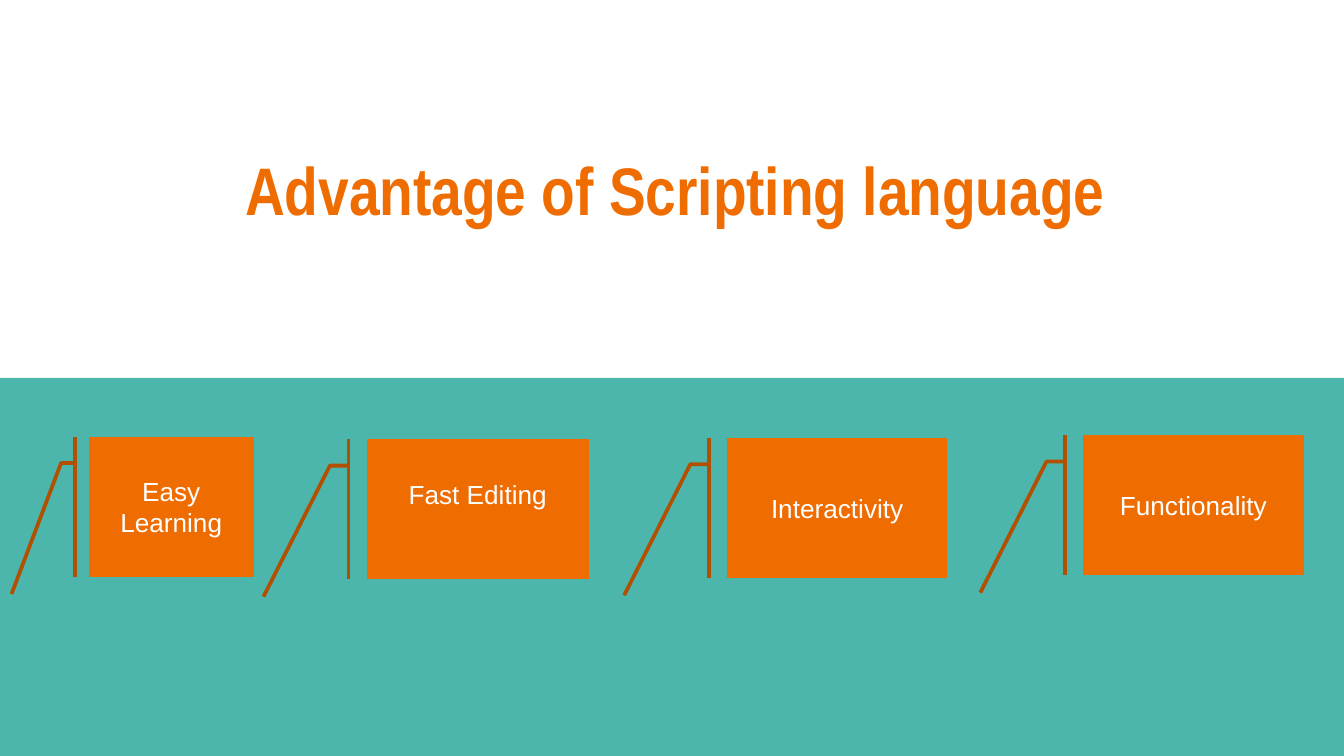
from dataclasses import dataclass

from pptx import Presentation
from pptx.dml.color import RGBColor
from pptx.enum.shapes import MSO_SHAPE as Shape
from pptx.enum.text import MSO_ANCHOR as Anchor, MSO_AUTO_SIZE as AutoSize, PP_ALIGN as Align
from pptx.util import Inches, Pt

ORANGE, BROWN, TEAL, WHITE = "EF6C00", "B15000", "4DB6AC", "FFFFFF"
WIDTH = 10
HEIGHT = WIDTH * 9 / 16
CALLOUT_HEIGHT = 1.04


@dataclass
class Callout:
    text: str
    left: float
    top: float
    width: float = 1.64
    bottom_inset: float = 0.05


CALLOUTS = [
    Callout("Easy Learning", 0.66, 3.25, width=1.23),
    Callout("Fast Editing", 2.73, 3.27, width=1.65, bottom_inset=0.27),
    Callout("Interactivity", 5.41, 3.26),
    Callout("Functionality", 8.06, 3.24),
]


def color(value: str) -> RGBColor:
    return RGBColor.from_string(value)


def add_filled(s, kind, left: float, top: float, width: float, height: float, fill: str):
    sp = s.shapes.add_shape(kind, Inches(left), Inches(top), Inches(width), Inches(height))
    sp.shadow.inherit = False
    sp.fill.solid()
    sp.fill.fore_color.rgb = color(fill)
    return sp


def write(tf, text: str, font: str, size: float, fill: str, bold: bool = False) -> None:
    tf.word_wrap = True
    tf.auto_size = AutoSize.NONE
    tf.vertical_anchor = Anchor.MIDDLE
    p = tf.paragraphs[0]
    p.alignment = Align.CENTER
    r = p.add_run()
    r.text = text
    r.font.name, r.font.size, r.font.bold = font, Pt(size), bold
    r.font.color.rgb = color(fill)


def add_callout(s, item: Callout) -> None:
    sp = add_filled(s, Shape.LINE_CALLOUT_2_ACCENT_BAR, item.left, item.top,
                    item.width, CALLOUT_HEIGHT, ORANGE)
    sp.line.color.rgb = color(BROWN)
    sp.line.width = Pt(2)
    sp.text_frame.margin_bottom = Inches(item.bottom_inset)
    write(sp.text_frame, item.text, "Arial", 14, WHITE)


def main() -> None:
    prs = Presentation()
    prs.slide_width, prs.slide_height = Inches(WIDTH), Inches(HEIGHT)
    s = prs.slides.add_slide(prs.slide_layouts[5])

    # Lower half band
    band = add_filled(s, Shape.RECTANGLE, 0, HEIGHT / 2, WIDTH, HEIGHT / 2, TEAL)
    band.line.fill.background()

    # Title
    title = s.shapes.title
    title.left, title.top = Inches(0.34), Inches(0.89)
    title.width, title.height = Inches(9.37), Inches(1.03)
    tf = title.text_frame
    tf.margin_left = tf.margin_right = tf.margin_top = tf.margin_bottom = Inches(0.1)
    write(tf, "Advantage of Scripting language", "Arial Narrow", 36, ORANGE, bold=True)

    # Advantages
    for item in CALLOUTS:
        add_callout(s, item)

    prs.save("out.pptx")


if __name__ == "__main__":
    main()
